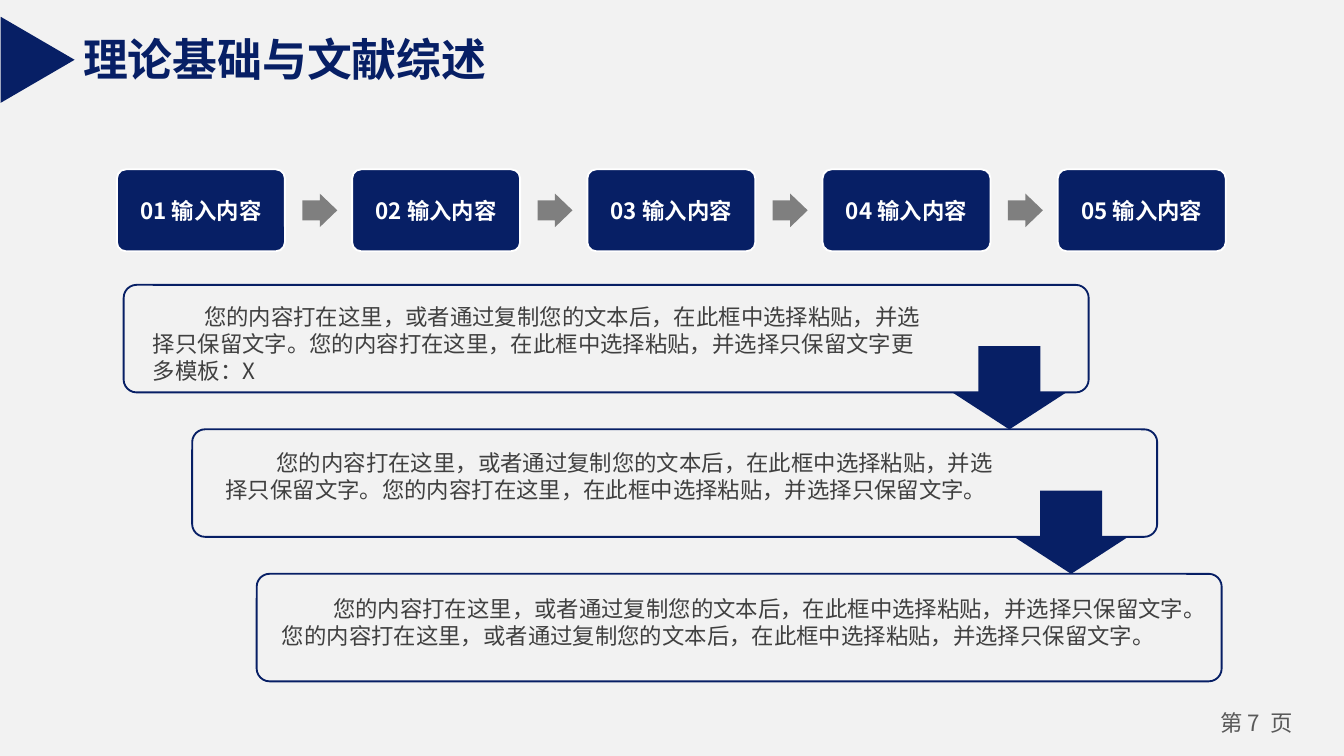
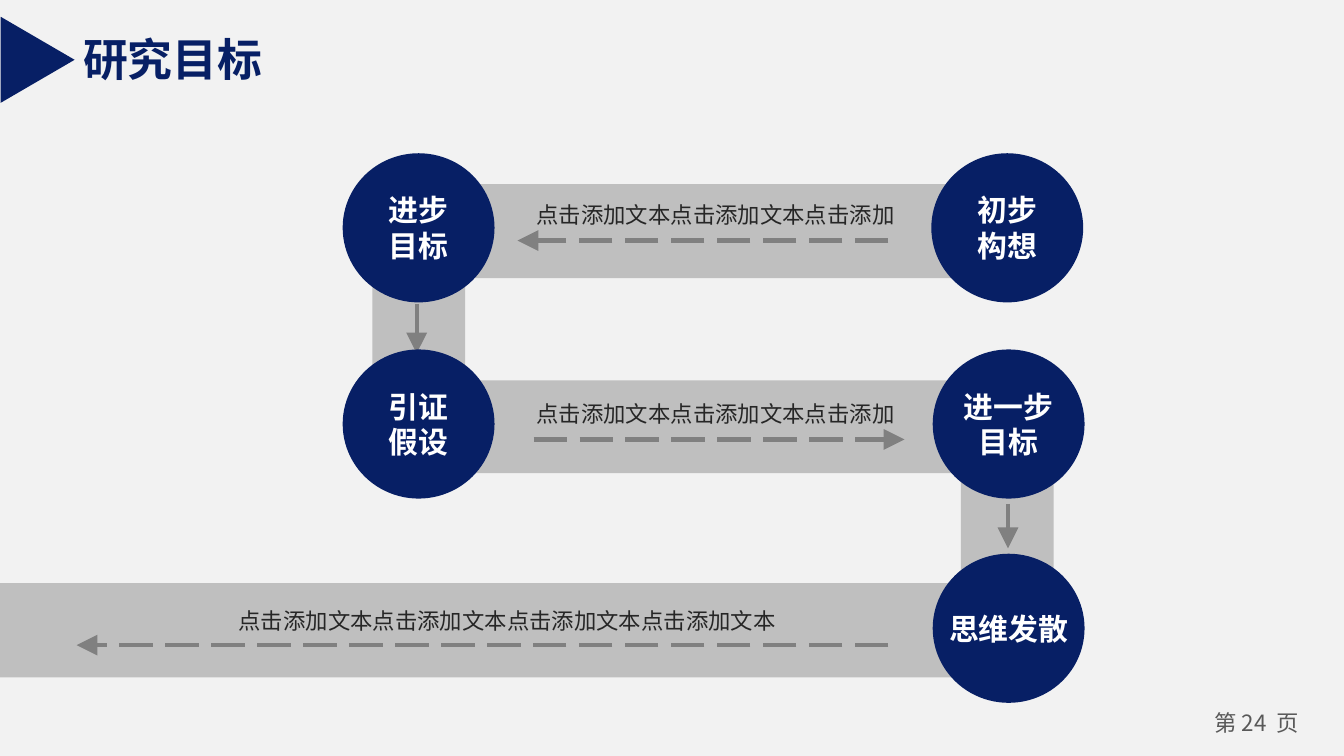
import pptx
import pptx.util
import pptx.dml.color
import pptx.enum.dml
import pptx.enum.shapes
import pptx.enum.text
import pptx.oxml
import pptx.oxml.ns
from lxml import etree

Inches = pptx.util.Inches
Pt = pptx.util.Pt
Color = pptx.dml.color.RGBColor
Shape = pptx.enum.shapes.MSO_SHAPE
Align = pptx.enum.text.PP_ALIGN
Anchor = pptx.enum.text.MSO_ANCHOR
qn = pptx.oxml.ns.qn

NAVY = Color(0x07, 0x1F, 0x65)
PAPER = Color(0xF2, 0xF2, 0xF2)
WHITE = Color(0xFF, 0xFF, 0xFF)
BAND_GRAY = Color(0xBF, 0xBF, 0xBF)
ARROW_GRAY = Color(0x7F, 0x7F, 0x7F)
LINE_GRAY = Color(0x80, 0x80, 0x80)
FOOTER_GRAY = Color(0x59, 0x59, 0x59)
BODY_GRAY = Color(0x40, 0x40, 0x40)
CAPTION_GRAY = Color(0x26, 0x26, 0x26)
CHINESE_FONT = "Noto Sans CJK SC"
LATIN_FONT = "Arial"
WIDE_INSETS = (0.1, 0.05)
NARROW_INSETS = (0.07, 0.04)

REVIEW_TITLE = "理论基础与文献综述"
REVIEW_PAGE = 7
STEPS = ["01 输入内容", "02 输入内容", "03 输入内容", "04 输入内容", "05 输入内容"]
PANELS = [
    (0.92, (1.04, 2.21, 5.94, 0.71),
     "您的内容打在这里，或者通过复制您的文本后，在此框中选择粘贴，并选择只保留文字。"
     "您的内容打在这里，在此框中选择粘贴，并选择只保留文字更多模板：X"),
    (1.43, (1.58, 3.29, 5.92, 0.47),
     "您的内容打在这里，或者通过复制您的文本后，在此框中选择粘贴，并选择只保留文字。"
     "您的内容打在这里，在此框中选择粘贴，并选择只保留文字。"),
    (1.91, (2, 4.38, 6.96, 0.47),
     "您的内容打在这里，或者通过复制您的文本后，在此框中选择粘贴，并选择只保留文字。"
     "您的内容打在这里，或者通过复制您的文本后，在此框中选择粘贴，并选择只保留文字。"),
]
DOWN_ARROW_LEFTS = [7.09, 7.55]

GOAL_TITLE = "研究目标"
GOAL_PAGE = 24
BANDS = [
    (0, 4.34, 7.83, 0.7),
    (3.03, 2.83, 4.8, 0.69),
    (7.15, 3.16, 0.69, 1.91),
    (3.43, 1.37, 4.41, 0.7),
    (2.77, 1.37, 0.69, 2.15),
]
DASHED_ARROWS = [
    (6.61, 4.8, 0.57, 4.8),
    (3.97, 3.27, 6.73, 3.27),
    (7.5, 3.75, 7.5, 4.08),
    (6.61, 1.79, 3.85, 1.79),
    (3.1, 2.26, 3.1, 2.63),
]
GOALS = [
    (6.93, 1.14, ["初步", "构想"]),
    (2.55, 1.14, ["进步", "目标"]),
    (2.55, 2.6, ["引证", "假设"]),
    (6.94, 2.6, ["进一步", "目标"]),
    (6.94, 4.12, ["思维发散"]),
]
CAPTIONS = [
    (3.87, 1.46, 2.91, "点击添加文本点击添加文本点击添加"),
    (3.87, 2.94, 2.91, "点击添加文本点击添加文本点击添加"),
    (0.95, 4.48, 5.65, "点击添加文本点击添加文本点击添加文本点击添加文本"),
]


def write(shape, lines, size, color, font=CHINESE_FONT, bold=False, align=Align.LEFT,
          anchor=Anchor.TOP, insets=WIDE_INSETS, wrap=True, indent=0):
    frame = shape.text_frame
    frame.word_wrap = wrap
    frame.vertical_anchor = anchor
    frame.margin_left = frame.margin_right = Inches(insets[0])
    frame.margin_top = frame.margin_bottom = Inches(insets[1])
    frame.text = "\n".join(lines)
    for paragraph in frame.paragraphs:
        paragraph.alignment = align
        paragraph.font.name = font
        paragraph.font.size = Pt(size)
        paragraph.font.bold = bold
        paragraph.font.color.rgb = color
        properties = paragraph._p.get_or_add_pPr()
        if indent:
            properties.set("indent", str(Inches(indent)))
        east_asian = etree.SubElement(properties.find(qn("a:defRPr")), qn("a:ea"))
        east_asian.set("typeface", CHINESE_FONT)


def add_text(page, place, text, size, color, **style):
    box = page.shapes.add_textbox(*map(Inches, place))
    write(box, [text], size, color, **style)
    return box


def add_filled(page, kind, place, fill, line=None, adjustments=()):
    shape = page.shapes.add_shape(kind, *map(Inches, place))
    shape.shadow.inherit = False
    shape.fill.solid()
    shape.fill.fore_color.rgb = fill
    if line is None:
        shape.line.fill.background()
    else:
        shape.line.color.rgb = line
        shape.line.width = Pt(1)
    for index, value in enumerate(adjustments):
        shape.adjustments[index] = value
    return shape


def add_dashed_arrow(page, ends):
    arrow = page.shapes.add_connector(
        pptx.enum.shapes.MSO_CONNECTOR.STRAIGHT, *map(Inches, ends))
    arrow.line.color.rgb = LINE_GRAY
    arrow.line.width = Pt(2.25)
    arrow.line.dash_style = pptx.enum.dml.MSO_LINE.LONG_DASH
    head = etree.SubElement(arrow.line._get_or_add_ln(), qn("a:tailEnd"))
    for name, value in (("type", "triangle"), ("w", "lg"), ("len", "lg")):
        head.set(name, value)
    etree.SubElement(arrow._element.spPr, qn("a:effectLst"))


def add_page(deck, title, number):
    page = deck.slides.add_slide(deck.slide_layouts[6])
    page.background.fill.solid()
    page.background.fill.fore_color.rgb = PAPER
    add_text(page, (8.9, 5.24, 0.9, 0.3), f"第 {number}  页", 12, FOOTER_GRAY,
             align=Align.CENTER, insets=NARROW_INSETS)
    heading = add_text(page, (0.52, 0.19, 0.23 + len(title) * 24 / 72, 0.5), title, 24, NAVY,
                       font=LATIN_FONT, bold=True, wrap=False)
    heading.text_frame.auto_size = pptx.enum.text.MSO_AUTO_SIZE.SHAPE_TO_FIT_TEXT
    marker = add_filled(page, Shape.ISOSCELES_TRIANGLE, (-0.04, 0.17, 0.64, 0.55), NAVY)
    marker.rotation = 90
    return page


def build_review(deck):
    page = add_page(deck, REVIEW_TITLE, REVIEW_PAGE)
    panel_top, panel_pitch, arrow_height = 2.12, 1.075, 0.62
    for index, (left, text_place, text) in enumerate(PANELS):
        top = panel_top + index * panel_pitch
        add_filled(page, Shape.ROUNDED_RECTANGLE, (left, top, 7.18, 0.8), PAPER, NAVY, [0.12])
        add_text(page, text_place, text, 12, BODY_GRAY, indent=0.38)
    for index, left in enumerate(DOWN_ARROW_LEFTS, start=1):
        top = panel_top + index * panel_pitch - arrow_height
        add_filled(page, Shape.DOWN_ARROW, (left, top, 0.84, arrow_height), NAVY,
                   adjustments=[0.55, 0.44])
    for index, label in enumerate(STEPS):
        left = 0.87 + index * 1.75
        step = add_filled(page, Shape.ROUNDED_RECTANGLE, (left, 1.26, 1.25, 0.61),
                          NAVY, WHITE, [0.11])
        write(step, [label], 12, WHITE, bold=True, align=Align.CENTER,
              anchor=Anchor.MIDDLE, insets=NARROW_INSETS)
        if index < len(STEPS) - 1:
            add_filled(page, Shape.RIGHT_ARROW, (left + 1.38, 1.44, 0.26, 0.25), ARROW_GRAY,
                       adjustments=[0.6, 0.52])


def build_goals(deck):
    page = add_page(deck, GOAL_TITLE, GOAL_PAGE)
    for place in BANDS:
        add_filled(page, Shape.RECTANGLE, place, BAND_GRAY)
    for ends in DASHED_ARROWS:
        add_dashed_arrow(page, ends)
    for left, top, lines in GOALS:
        circle = add_filled(page, Shape.OVAL, (left, top, 1.13, 1.11), NAVY)
        write(circle, lines, 16, WHITE, font=LATIN_FONT, bold=True, align=Align.CENTER,
              anchor=Anchor.MIDDLE, insets=NARROW_INSETS, wrap=False)
    for left, top, width, text in CAPTIONS:
        add_text(page, (left, top, width, 0.28), text, 12, CAPTION_GRAY,
                 align=Align.CENTER, anchor=Anchor.MIDDLE, insets=NARROW_INSETS)


def main():
    deck = pptx.Presentation()
    deck.slide_width = Inches(10)
    deck.slide_height = Inches(10 * 9 / 16)
    build_review(deck)
    build_goals(deck)
    deck.save("out.pptx")


if __name__ == "__main__":
    main()
